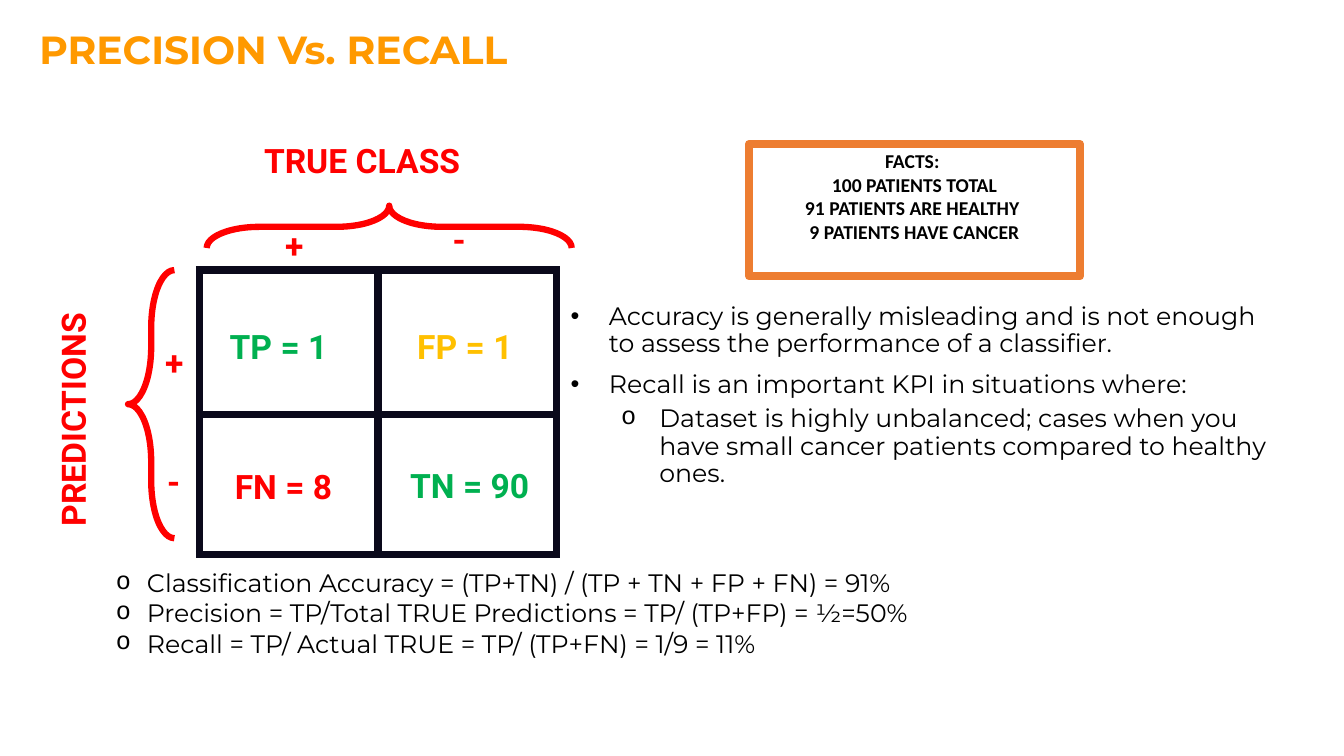
from dataclasses import dataclass

from lxml.etree import SubElement
from pptx import Presentation
from pptx.dml.color import RGBColor as Rgb
from pptx.enum.shapes import MSO_SHAPE as Shape
from pptx.enum.text import MSO_ANCHOR as Anchor, MSO_AUTO_SIZE as AutoSize, PP_ALIGN as Align
from pptx.oxml.ns import qn
from pptx.util import Pt

EMU_PER_PX = 9144


@dataclass(frozen=True)
class Theme:
    title: str = "FF9900"
    ink: str = "000000"
    paper: str = "FFFFFF"
    red: str = "FF0000"
    green: str = "00B050"
    amber: str = "FFC000"
    frame: str = "ED7D31"
    grid: str = "0A091B"
    text_font: str = "Montserrat"
    label_font: str = "Roboto"
    facts_font: str = "Calibri"
    title_size: int = 28
    label_size: int = 24
    text_size: int = 18
    facts_size: int = 14
    heavy_line: int = 6
    brace_line: float = 4.5


THEME = Theme()


def px(*lengths):
    return [length * EMU_PER_PX for length in lengths]


def place(shape, left, top, width, height):
    shape.left, shape.top, shape.width, shape.height = px(left, top, width, height)


def style(para, font, size, color, bold=False):
    para.font.name = font
    para.font.size = Pt(size)
    para.font.bold = bold
    para.font.color.rgb = Rgb.from_string(color)


def add_bullet(para, char, font, indent, hanging):
    props = para._p.get_or_add_pPr()
    margin, hang = px(indent, hanging)
    props.set("marL", str(margin))
    props.set("indent", str(-hang))
    color = SubElement(props, qn("a:buClr"))
    SubElement(color, qn("a:srgbClr"), val=THEME.ink)
    SubElement(props, qn("a:buFont"), typeface=font)
    SubElement(props, qn("a:buChar"), char=char)


def fill_list(frame, items, indents, hanging, line_spacing, gaps):
    frame.word_wrap = True
    frame.auto_size = AutoSize.NONE
    frame.vertical_anchor = Anchor.TOP
    for index, (level, text) in enumerate(items):
        para = frame.add_paragraph() if index else frame.paragraphs[0]
        para.text = text
        para.level = level
        char, font = (("•", "Arial"), ("o", "Courier New"))[level]
        add_bullet(para, char, font, indents[level], hanging)
        para.line_spacing = line_spacing
        para.space_before = Pt(gaps[level] if index else 0)
        style(para, THEME.text_font, THEME.text_size, THEME.ink)


def set_title(page, text):
    title = page.shapes.title
    place(title, 29, 20, 1075, 57)
    frame = title.text_frame
    frame.auto_size = AutoSize.NONE
    frame.vertical_anchor = Anchor.TOP
    para = frame.paragraphs[0]
    para.text = text
    para.alignment = Align.LEFT
    style(para, THEME.text_font, THEME.title_size, THEME.title, True)


def add_label(page, text, left, top, width, color, rotation=0):
    box = page.shapes.add_textbox(*px(left, top, width, 50))
    box.rotation = rotation
    box.text_frame.word_wrap = False
    para = box.text_frame.paragraphs[0]
    para.text = text
    style(para, THEME.label_font, THEME.label_size, color, True)


def add_brace(page, left, top, width, height, tip, rotation=0):
    brace = page.shapes.add_shape(Shape.LEFT_BRACE, *px(left, top, width, height))
    brace.adjustments[0] = 1.24
    brace.adjustments[1] = tip
    brace.rotation = rotation
    brace.shadow.inherit = False
    brace.fill.background()
    brace.line.color.rgb = Rgb.from_string(THEME.red)
    brace.line.width = Pt(THEME.brace_line)


def add_matrix(page, left, top, column_widths, row_heights):
    size = px(left, top, sum(column_widths), sum(row_heights))
    table = page.shapes.add_table(len(row_heights), len(column_widths), *size).table
    table.first_row = table.horz_banding = False
    for column, width in zip(table.columns, px(*column_widths)):
        column.width = width
    for row, height in zip(table.rows, px(*row_heights)):
        row.height = height
    for cell in table.iter_cells():
        props = cell._tc.get_or_add_tcPr()
        for side in ("lnL", "lnR", "lnT", "lnB"):
            border = SubElement(props, qn(f"a:{side}"), w=str(Pt(THEME.heavy_line)))
            fill = SubElement(border, qn("a:solidFill"))
            SubElement(fill, qn("a:srgbClr"), val=THEME.grid)
        cell.fill.background()


def add_facts(page, lines):
    panel = page.shapes.add_shape(Shape.RECTANGLE, *px(743, 143, 328, 131))
    panel.shadow.inherit = False
    panel.fill.solid()
    panel.fill.fore_color.rgb = Rgb.from_string(THEME.paper)
    panel.line.color.rgb = Rgb.from_string(THEME.frame)
    panel.line.width = Pt(THEME.heavy_line)
    frame = panel.text_frame
    frame.vertical_anchor = Anchor.TOP
    frame.text = "\n".join(lines)
    for para in frame.paragraphs:
        para.alignment = Align.CENTER
        style(para, THEME.facts_font, THEME.facts_size, THEME.ink, True)


def main():
    deck = Presentation()
    deck.slide_width, deck.slide_height = px(1333, 750)
    page = deck.slides.add_slide(deck.slide_layouts[1])
    set_title(page, "PRECISION Vs. RECALL")

    body = page.placeholders[1]
    place(body, 556, 296, 723, 476)
    remarks = [
        (0, "Accuracy is generally misleading and is not enough to assess the performance of a classifier."),
        (0, "Recall is an important KPI in situations where:"),
        (1, "Dataset is highly unbalanced; cases when you have small cancer patients compared to healthy ones."),
    ]
    fill_list(body.text_frame, remarks, (38, 88), 38, 0.9, (10, 5))

    formulas = [
        (1, "Classiﬁcation Accuracy = (TP+TN) / (TP + TN + FP + FN) = 91%"),
        (1, "Precision = TP/Total TRUE Predictions = TP/ (TP+FP) = ½=50%"),
        (1, "Recall = TP/ Actual TRUE = TP/ (TP+FN) = 1/9 = 11%"),
    ]
    formula_box = page.shapes.add_textbox(*px(55, 558, 1156, 101))
    fill_list(formula_box.text_frame, formulas, (38, 81), 31, 1.0, (0, 0))

    add_matrix(page, 198, 268, (177, 177), (143, 139))
    add_brace(page, 127, 268, 46, 266, 0.5)
    add_brace(page, 365, 44, 42, 362, 0.5, 90)
    for label in (
        ("PREDICTIONS", -53, 382, 250, THEME.red, 270),
        ("TRUE CLASS", 252, 134, 245, THEME.red),
        ("+", 273, 218, 40, THEME.red),
        ("-", 439, 212, 28, THEME.red),
        ("+", 154, 334, 40, THEME.red),
        ("-", 156, 452, 28, THEME.red),
        ("TP = 1", 218, 318, 120, THEME.green),
        ("FP = 1", 404, 318, 120, THEME.amber),
        ("FN = 8", 223, 457, 122, THEME.red),
        ("TN = 90", 397, 456, 141, THEME.green),
    ):
        add_label(page, *label)
    add_facts(page, (
        "FACTS: ",
        "100 PATIENTS TOTAL",
        "91 PATIENTS ARE HEALTHY ",
        "9 PATIENTS HAVE CANCER",
    ))
    deck.save("out.pptx")


if __name__ == "__main__":
    main()
